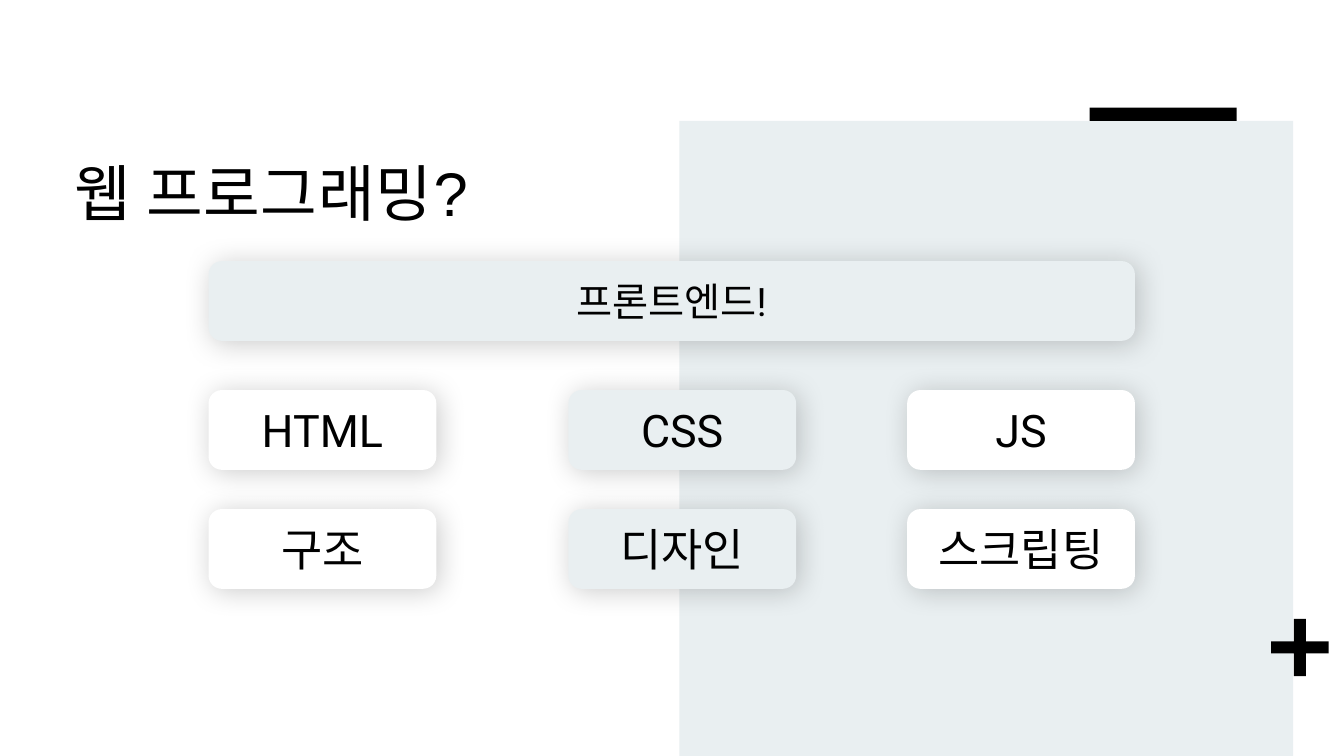
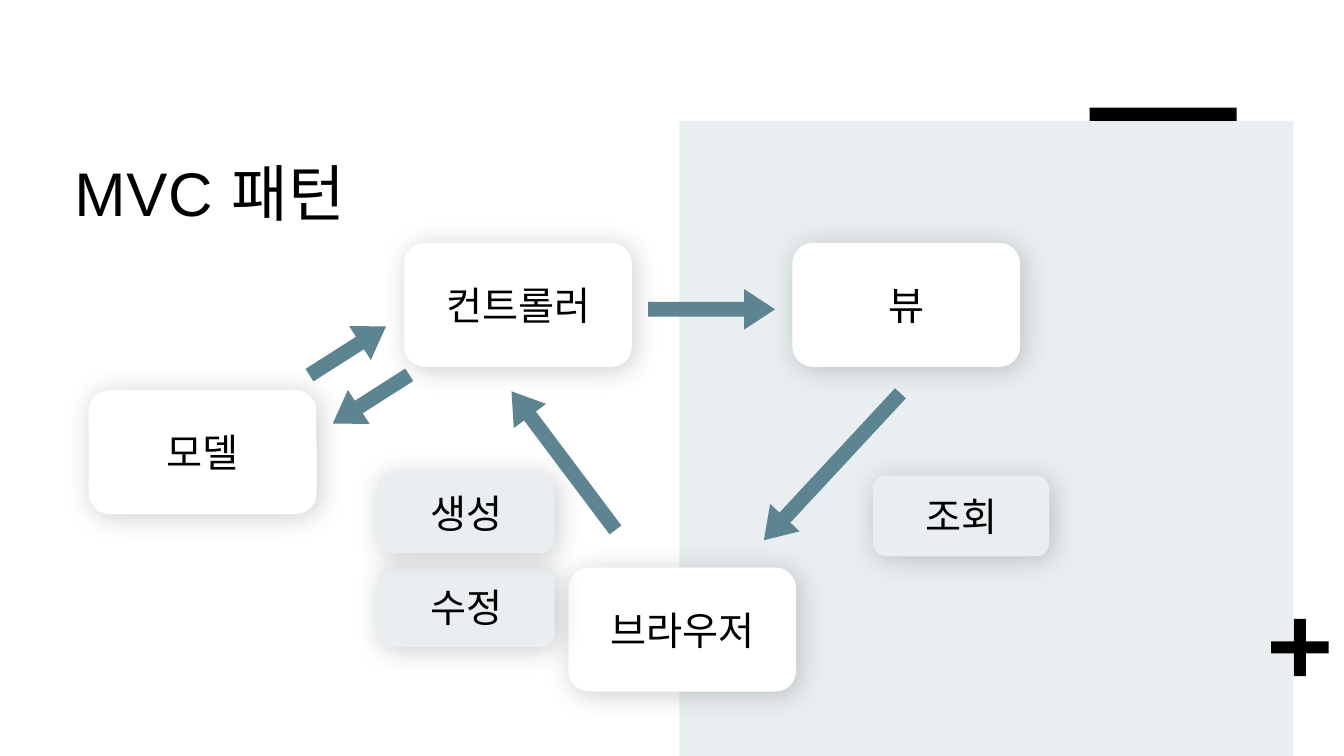
from dataclasses import dataclass

from lxml.etree import SubElement
from pptx import Presentation
from pptx.dml.color import RGBColor
from pptx.enum.shapes import MSO_SHAPE
from pptx.enum.text import MSO_ANCHOR, PP_ALIGN
from pptx.oxml.ns import qn
from pptx.util import Pt


@dataclass(frozen=True)
class Theme:
    black: str = "000000"
    white: str = "FFFFFF"
    mist: str = "E9EFF1"
    teal: str = "5C8491"
    title_font: str = "Arial"
    body_font: str = "Roboto"
    title_size: int = 44
    large_size: int = 32
    body_size: int = 28


THEME = Theme()

# Slide 1: one banner over three columns of name and role
WEB_TITLE = "웹 프로그래밍?"
BANNER = "프론트엔드!"
COLUMNS = [
    # left, fill, name, role
    (149, THEME.white, "HTML", "구조"),
    (406, THEME.mist, "CSS", "디자인"),
    (648, THEME.white, "JS", "스크립팅"),
]
CELL_WIDTH, CELL_HEIGHT = 162.7, 57
BANNER_TOP, FIRST_ROW_TOP, ROW_STEP = 186.5, 278.6, 85

# Slide 2: parts of the pattern, their operations and the flow between them
MVC_TITLE = "MVC 패턴"
PARTS = [
    ("브라우저", 406, 405.4),
    ("뷰", 566, 173.5),
    ("컨트롤러", 288.7, 173.5),
    ("모델", 63.4, 278.6),
]
PART_SIZE = (162.7, 88.6)
OPERATIONS = [
    ("조회", 623.5, 339.8),
    ("수정", 270, 404.6),
    ("생성", 270, 337.7),
]
OPERATION_SIZE = (126, 57.6)
ARROWS = [
    # centre x, centre y, length, degrees clockwise
    (402.5, 329, 123.8, 233.1),
    (594.4, 333.4, 143.3, 132.9),
    (508.3, 221, 90.7, 0),
    (248.4, 250.6, 64.8, 327.5),
    (265, 285.1, 64.8, 147.5),
]
ARROW_THICKNESS = 28.8


def add_block(slide, kind, left, top, width, height, color, adjustments=()):
    """Add a flat, borderless shape."""
    shape = slide.shapes.add_shape(kind, Pt(left), Pt(top), Pt(width), Pt(height))
    shape.shadow.inherit = False
    shape.fill.solid()
    shape.fill.fore_color.rgb = RGBColor.from_string(color)
    shape.line.fill.background()
    for index, value in enumerate(adjustments):
        shape.adjustments[index] = value
    return shape


def add_soft_shadow(shape):
    effects = shape._element.spPr.find(qn("a:effectLst"))
    shadow = SubElement(
        effects, qn("a:outerShdw"), blurRad=str(Pt(20)), dist=str(Pt(3)),
        dir=str(45 * 60000), algn="tl", rotWithShape="0",
    )
    color = SubElement(shadow, qn("a:srgbClr"), val=THEME.black)
    SubElement(color, qn("a:alpha"), val="20000")


def add_text(paragraph, text, font_name, size):
    run = paragraph.add_run()
    run.text = text
    run.font.name = font_name
    run.font.size = Pt(size)
    run.font.color.rgb = RGBColor.from_string(THEME.black)
    return run


def add_card(slide, text, left, top, width, height, color, size=THEME.body_size):
    card = add_block(slide, MSO_SHAPE.ROUNDED_RECTANGLE, left, top, width, height, color)
    add_soft_shadow(card)
    frame = card.text_frame
    frame.word_wrap = True
    frame.vertical_anchor = MSO_ANCHOR.MIDDLE
    paragraph = frame.paragraphs[0]
    paragraph.alignment = PP_ALIGN.CENTER
    add_text(paragraph, text, THEME.body_font, size)


def add_arrow(slide, center_x, center_y, length, degrees):
    arrow = add_block(
        slide, MSO_SHAPE.RIGHT_ARROW, center_x - length / 2, center_y - ARROW_THICKNESS / 2,
        length, ARROW_THICKNESS, THEME.teal, (0.368, 0.764),
    )
    arrow.rotation = degrees


def add_titled_slide(presentation, title):
    """Add a blank slide with the shared decoration and title."""
    slide = presentation.slides.add_slide(presentation.slide_layouts[6])
    add_block(slide, MSO_SHAPE.RECTANGLE, 485.3, 86.4, 438.5, 453.6, THEME.mist)
    add_block(slide, MSO_SHAPE.CROSS, 908, 442, 41, 41, THEME.black, (0.395,))
    add_block(slide, MSO_SHAPE.RECTANGLE, 778.3, 77, 105.1, 9.4, THEME.black)

    frame = slide.shapes.add_textbox(Pt(44.6), Pt(95), Pt(651), Pt(113.8)).text_frame
    frame.word_wrap = True
    frame.margin_left = frame.margin_right = frame.margin_top = Pt(8.6)
    frame.margin_bottom = Pt(7.2)
    paragraph = frame.paragraphs[0]
    paragraph.line_spacing = 1.14
    run = add_text(paragraph, title, THEME.title_font, THEME.title_size)
    run.font._element.set("spc", "50")
    return slide


def build_web_slide(presentation):
    slide = add_titled_slide(presentation, WEB_TITLE)
    first_left, last_left = COLUMNS[0][0], COLUMNS[-1][0]
    banner_width = last_left + CELL_WIDTH - first_left
    add_card(slide, BANNER, first_left, BANNER_TOP, banner_width, CELL_HEIGHT, THEME.mist)
    for row in range(2):
        top = FIRST_ROW_TOP + row * ROW_STEP
        for left, color, *labels in COLUMNS:
            add_card(slide, labels[row], left, top, CELL_WIDTH, CELL_HEIGHT, color,
                     THEME.large_size)


def build_mvc_slide(presentation):
    slide = add_titled_slide(presentation, MVC_TITLE)
    for text, left, top in PARTS:
        add_card(slide, text, left, top, *PART_SIZE, THEME.white)
    for text, left, top in OPERATIONS:
        add_card(slide, text, left, top, *OPERATION_SIZE, THEME.mist)
    for arrow in ARROWS:
        add_arrow(slide, *arrow)


def main():
    presentation = Presentation()
    presentation.slide_width = Pt(960)
    presentation.slide_height = Pt(540)
    build_web_slide(presentation)
    build_mvc_slide(presentation)
    presentation.save("out.pptx")


if __name__ == "__main__":
    main()
